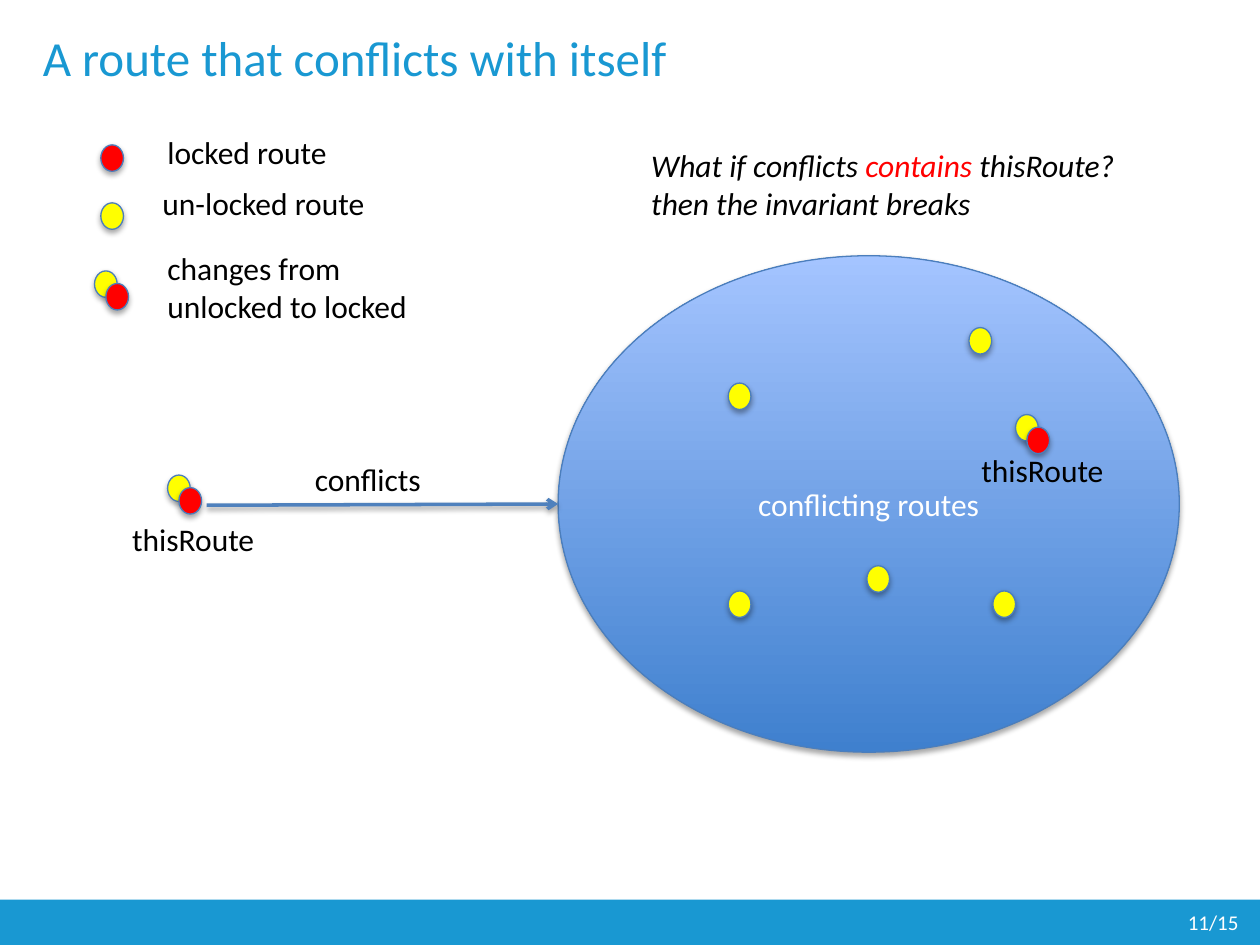
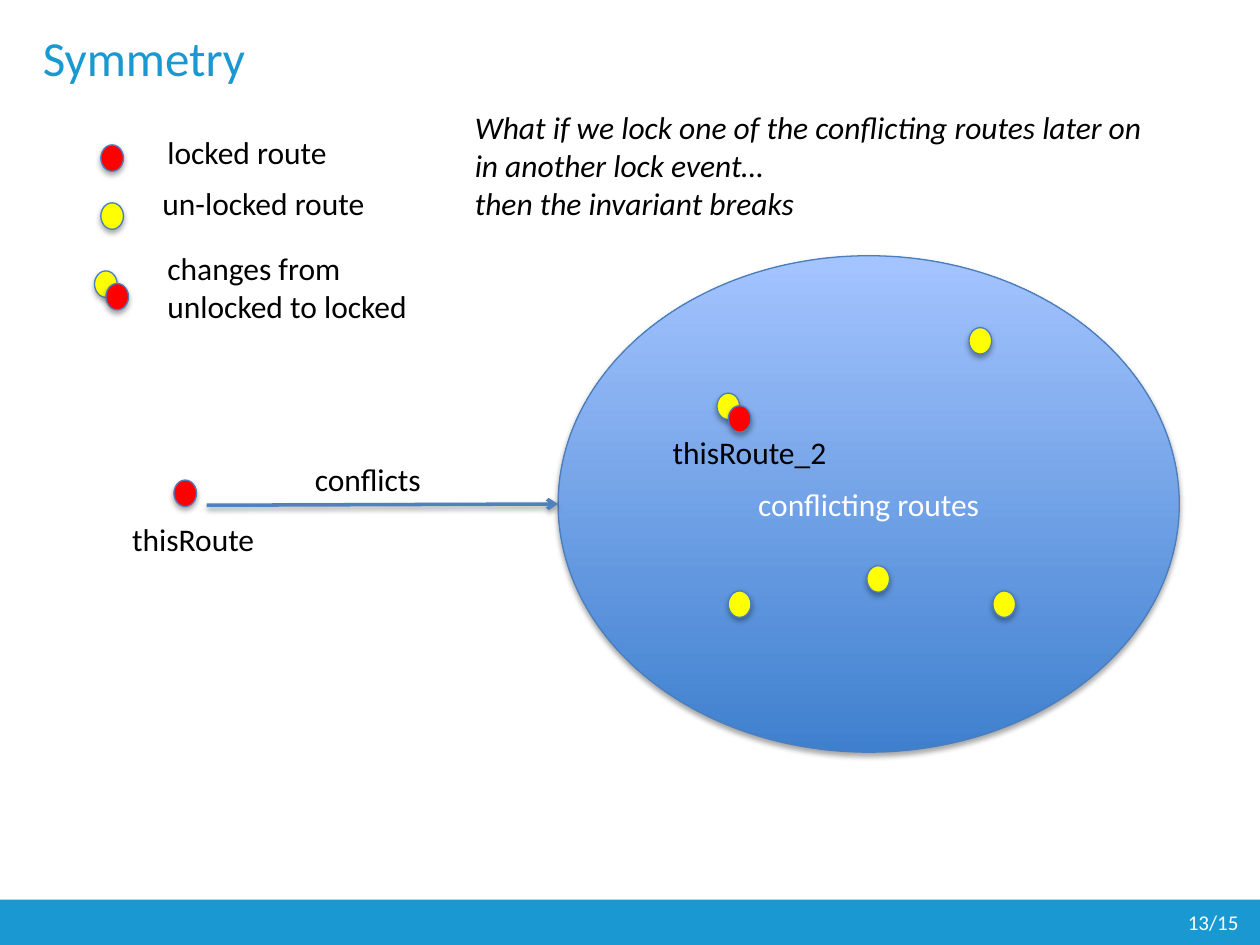
from dataclasses import dataclass
from lxml.etree import SubElement
from pptx import Presentation
from pptx.dml.color import RGBColor
from pptx.enum.shapes import MSO_CONNECTOR, MSO_SHAPE
from pptx.enum.text import MSO_ANCHOR, MSO_AUTO_SIZE, PP_ALIGN
from pptx.oxml.ns import qn
from pptx.util import Inches, Pt


@dataclass(frozen=True)
class Theme:
    font: str = "Calibri"
    title_size: int = 28
    text_size: int = 18
    page_size: int = 12
    brand: RGBColor = RGBColor(0x19, 0x98, 0xD2)
    outline: RGBColor = RGBColor(0x4B, 0x7E, 0xBC)
    arrow: RGBColor = RGBColor(0x4F, 0x81, 0xBD)
    set_bottom: RGBColor = RGBColor(0x3F, 0x80, 0xCE)
    set_top: RGBColor = RGBColor(0xA4, 0xC4, 0xFF)
    locked: RGBColor = RGBColor(0xFF, 0, 0)
    unlocked: RGBColor = RGBColor(0xFF, 0xFF, 0)
    black: RGBColor = RGBColor(0, 0, 0)
    white: RGBColor = RGBColor(0xFF, 0xFF, 0xFF)


THEME = Theme()

# Content: positions are (left, top) or (left, top, width, height) in inches.
# A route's state is "locked", "unlocked" or "changing".
LEGEND = [
    ("unlocked", (0.8, 1.61), ["un-locked route"], (1.19, 1.41, 1.82, 0.4)),
    ("locked", (0.8, 1.15), ["locked route"], (1.23, 1.01, 1.48, 0.4)),
    ("changing", (0.75, 2.15), ["changes from", "unlocked to locked"], (1.23, 1.93, 2.12, 0.71)),
]
SHARED_ROUTES = [("unlocked", spot) for spot in
                 [(7.69, 2.6), (6.88, 4.49), (7.88, 4.69), (5.78, 4.69)]]
SHARED_LABELS = [("conflicts", (2.4, 3.6, 1.06, 0.4)), ("thisRoute", (0.95, 4.08, 1.18, 0.4))]

# In a question, the part between asterisks is stressed.
SLIDES = [
    {
        "title": "A route that conflicts with itself",
        "page": "11/15",
        "question": ["What if conflicts *contains* thisRoute?", "then the invariant breaks"],
        "question_box": (5.07, 1.11, 3.98, 0.71),
        "routes": [("unlocked", (5.78, 3.04)), ("changing", (1.33, 3.77)), ("changing", (8.06, 3.29))],
        "labels": [("thisRoute", (7.69, 3.53, 1.18, 0.4))],
    },
    {
        "title": "Symmetry",
        "page": "13/15",
        "question": ["What if we lock one of the conflicting routes later on in another lock event…",
                     "then the invariant breaks"],
        "question_box": (3.67, 0.81, 5.5, 1.01),
        "question_wraps": True,
        "routes": [("locked", (1.38, 3.81)), ("changing", (5.69, 3.12))],
        "labels": [("thisRoute_2", (5.24, 3.39, 1.43, 0.4))],
    },
]

# Layout
TITLE_BOX = (0.24, 0, 8.76, 0.9)
BAND_BOX = (0, 7.14, 10, 0.36)
CONFLICT_SET_BOX = (4.43, 2.03, 4.93, 3.94)
ARROW_ENDS = (1.64, 4.01, 4.43, 4)
DOT_SIZE = (0.18, 0.21)
PAIR_OFFSET = (0.09, 0.1)


def inches(box):
    return [Inches(value) for value in box]


def style(paragraph, size, color, align=PP_ALIGN.LEFT, italic=None):
    paragraph.alignment = align
    font = paragraph.font
    font.name, font.size, font.italic = THEME.font, Pt(size), italic
    font.color.rgb = color


def add_shadow(part, blur=40000, distance=23000, opacity=35):
    effects = SubElement(part._element.spPr, qn("a:effectLst"))
    shadow = SubElement(effects, qn("a:outerShdw"), blurRad=str(blur), dist=str(distance),
                        dir="5400000", rotWithShape="0")
    black = SubElement(shadow, qn("a:srgbClr"), val="000000")
    SubElement(black, qn("a:alpha"), val=str(opacity * 1000))


def add_ellipse(shapes, box):
    ellipse = shapes.add_shape(MSO_SHAPE.OVAL, *inches(box))
    ellipse.line.color.rgb = THEME.outline
    ellipse.line.width = Pt(0.75)
    return ellipse


def add_dot(shapes, state, spot):
    dot = add_ellipse(shapes, (*spot, *DOT_SIZE))
    dot.fill.solid()
    dot.fill.fore_color.rgb = getattr(THEME, state)
    add_shadow(dot)


def add_route(shapes, state, spot):
    if state != "changing":
        add_dot(shapes, state, spot)
        return
    pair = shapes.add_group_shape().shapes
    add_dot(pair, "unlocked", spot)
    add_dot(pair, "locked", [start + step for start, step in zip(spot, PAIR_OFFSET)])


def add_text(shapes, lines, box, italic=None, wrap=False):
    frame = shapes.add_textbox(*inches(box)).text_frame
    frame.word_wrap = wrap
    frame.auto_size = MSO_AUTO_SIZE.SHAPE_TO_FIT_TEXT
    for index, line in enumerate(lines):
        paragraph = frame.add_paragraph() if index else frame.paragraphs[0]
        style(paragraph, THEME.text_size, THEME.black, italic=italic)
        for part, words in enumerate(line.split("*")):
            run = paragraph.add_run()
            run.text = words
            if part % 2:
                run.font.color.rgb = THEME.locked


def add_frame(slide, title_text, page):
    # Footer band with page number
    band = slide.shapes.add_shape(MSO_SHAPE.RECTANGLE, *inches(BAND_BOX))
    band.shadow.inherit = False
    band.fill.solid()
    band.fill.fore_color.rgb = THEME.brand
    band.line.fill.background()
    band.text_frame.margin_right = Inches(0.17)
    band.text_frame.vertical_anchor = MSO_ANCHOR.MIDDLE
    band.text_frame.text = page
    style(band.text_frame.paragraphs[0], THEME.page_size, THEME.white, PP_ALIGN.RIGHT)

    # Title
    title = slide.shapes.title
    title.left, title.top, title.width, title.height = inches(TITLE_BOX)
    title.text_frame.text = title_text
    title.text_frame.vertical_anchor = MSO_ANCHOR.MIDDLE
    style(title.text_frame.paragraphs[0], THEME.title_size, THEME.brand)


def add_conflict_set(shapes):
    conflict_set = add_ellipse(shapes, CONFLICT_SET_BOX)
    conflict_set.fill.gradient()
    conflict_set.fill.gradient_angle = 90
    for stop, color in zip(conflict_set.fill.gradient_stops, (THEME.set_bottom, THEME.set_top)):
        stop.color.rgb = color
    add_shadow(conflict_set)
    conflict_set.text_frame.vertical_anchor = MSO_ANCHOR.MIDDLE
    conflict_set.text_frame.text = "conflicting routes"
    style(conflict_set.text_frame.paragraphs[0], THEME.text_size, THEME.white, PP_ALIGN.CENTER)


def add_arrow(shapes):
    arrow = shapes.add_connector(MSO_CONNECTOR.STRAIGHT, *inches(ARROW_ENDS))
    arrow.line.color.rgb = THEME.arrow
    arrow.line.width = Pt(2)
    SubElement(arrow._element.spPr.find(qn("a:ln")), qn("a:tailEnd"), type="arrow")
    add_shadow(arrow, distance=20000, opacity=38)


def add_legend(shapes):
    legend = shapes.add_group_shape().shapes
    for state, spot, lines, box in LEGEND:
        add_route(legend, state, spot)
        add_text(legend, lines, box)


# Build the slides
deck = Presentation()
deck.slide_width, deck.slide_height = Inches(10), Inches(7.5)
title_only = deck.slide_layouts[5]
for content in SLIDES:
    slide = deck.slides.add_slide(title_only)
    shapes = slide.shapes
    add_frame(slide, content["title"], content["page"])
    add_conflict_set(shapes)
    add_arrow(shapes)
    for state, spot in SHARED_ROUTES + content["routes"]:
        add_route(shapes, state, spot)
    for label, box in SHARED_LABELS + content["labels"]:
        add_text(shapes, [label], box)
    add_text(shapes, content["question"], content["question_box"], italic=True,
             wrap=content.get("question_wraps", False))
    add_legend(shapes)
deck.save("out.pptx")
